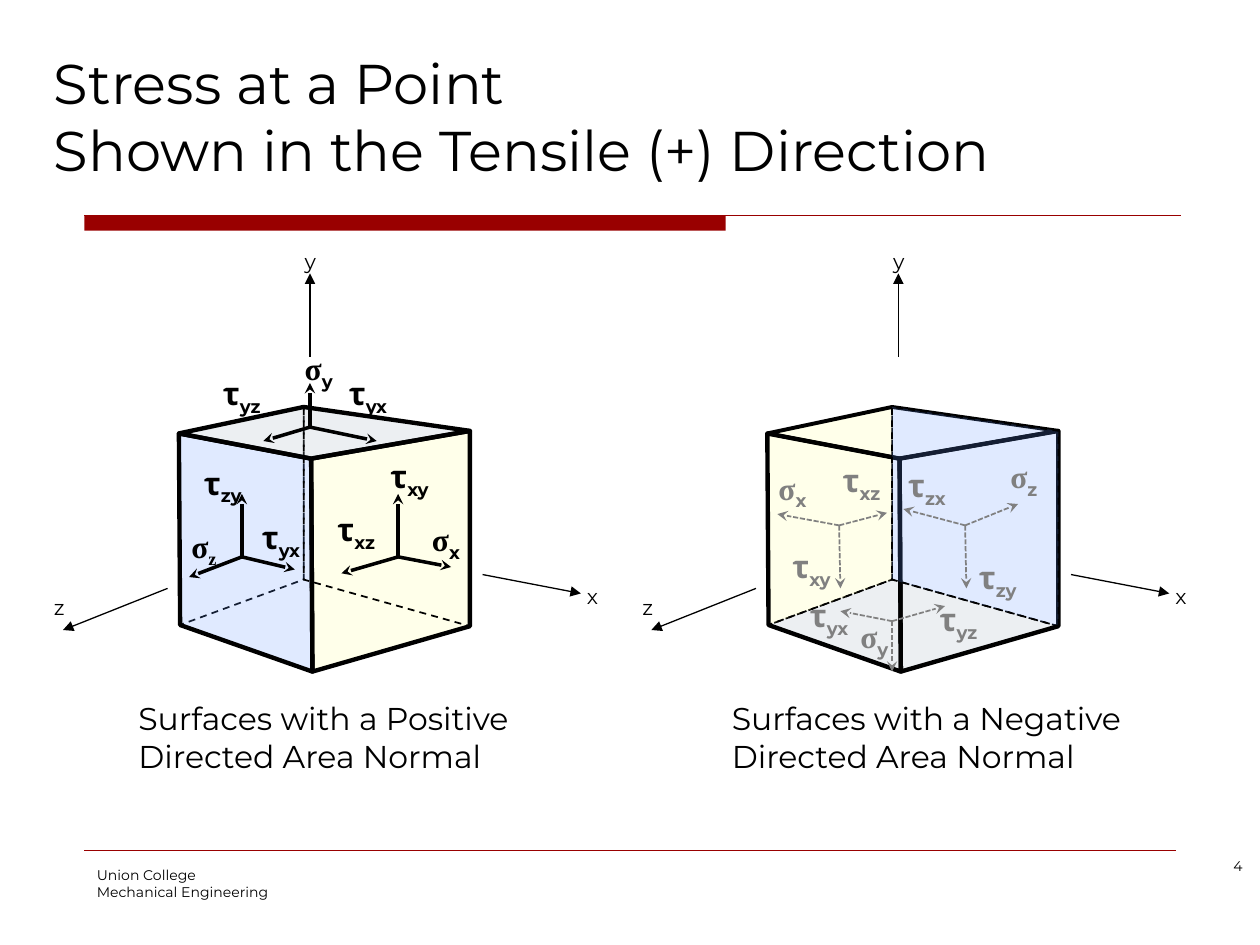
from lxml import etree
from pptx import Presentation
from pptx import util as u
from pptx.dml import color
from pptx.enum import dml, shapes, text
from pptx.oxml import ns

PX = 9144
SANS, SERIF = "Montserrat", "Times New Roman"
BLACK, GRAY, RED = "000000", "808080", "990000"
BLUE, CREAM, SLATE = "6699FF", "FFFF99", "A3B2C1"
DASH, DOTS = dml.MSO_LINE.DASH, dml.MSO_LINE.SQUARE_DOT
SHIFT = 467

CORNERS = {
    "A": (142, 344), "F": (247, 364), "R": (373, 342), "B": (241, 323),
    "a": (143, 496), "f": (248, 533), "r": (373, 497), "b": (241, 460),
}
LEFT_FACES = [
    ("FRrf", CREAM, 2.5, None), ("BAab", None, 1, DASH),
    ("FAaf", BLUE, 2.5, None), ("AFRB", SLATE, 2.5, None),
    ("rRBb", None, 1, DASH),
]
RIGHT_FACES = [
    ("afrb", SLATE, 1, DASH), ("BAab", CREAM, 1, DASH),
    ("FAaf", None, 2.5, None), ("FRrf", None, 2.5, None),
    ("AFRB", None, 2.25, None), ("rRBb", BLUE, 1, DASH),
]
LEFT_STARS = [
    ((246, 339), [(209, 350), (299, 350), (246, 304)]),
    ((192, 442), [(150, 458), (234, 452), (192, 392)]),
    ((316, 442), [(271, 455), (358, 450), (316, 392)]),
]
RIGHT_STARS = [
    ((708, 493), [(750, 481), (667, 485), (708, 533)]),
    ((766, 417), [(808, 400), (717, 404), (767, 467)]),
    ((666, 417), [(704, 407), (617, 408), (667, 467)]),
]
LEFT_SIGNS = [
    ("σ", "x", 333, 408, 45), ("σ", "y", 232, 272, 44),
    ("σ", "z", 142, 413, 42), ("τ", "xz", 258, 400, 52),
    ("τ", "xy", 300, 358, 53), ("τ", "yz", 167, 292, 58),
    ("τ", "yx", 198, 406, 53), ("τ", "zy", 152, 363, 51),
    ("τ", "yx", 267, 292, 53),
]
RIGHT_SIGNS = [
    ("σ", "y", 673, 485, 44), ("τ", "yx", 633, 468, 57),
    ("τ", "xz", 659, 361, 53), ("σ", "x", 608, 367, 45),
    ("σ", "z", 792, 358, 43), ("τ", "xy", 619, 429, 53),
    ("τ", "yz", 736, 471, 64), ("τ", "zx", 711, 365, 53),
    ("τ", "zy", 767, 438, 51),
]
AXES = [
    ("y", (246, 283), (246, 217), (232, 192)),
    ("x", (383, 456), (461, 471), (456, 458)),
    ("z", (133, 467), (50, 500), (33, 467)),
]


def rgb(code):
    """Turn a hex string into a colour."""
    return color.RGBColor.from_string(code)


def stroke(line, hue, width, dash=None):
    """Format a line or outline."""
    line.color.rgb = rgb(hue)
    line.width = u.Pt(width)
    if dash is not None:
        line.dash_style = dash


def link(slide, start, end, hue, width, dash=None, head=None):
    """Draw a straight line, with an optional arrowhead at its end."""
    ends = [n * PX for n in (*start, *end)]
    line = slide.shapes.add_connector(shapes.MSO_CONNECTOR.STRAIGHT, *ends)
    stroke(line.line, hue, width, dash)
    if head:
        etree.SubElement(line.line._get_or_add_ln(), ns.qn("a:tailEnd"), type=head)
    etree.SubElement(line._element.spPr, ns.qn("a:effectLst"))


def bar(slide, x, y, w, h, hue):
    """Draw a plain filled bar."""
    box = slide.shapes.add_shape(
        shapes.MSO_SHAPE.RECTANGLE, x * PX, y * PX, w * PX, h * PX)
    box.shadow.inherit = False
    box.fill.solid()
    box.fill.fore_color.rgb = rgb(hue)
    box.line.fill.background()


def face(slide, names, fill, width, dash, dx):
    """Draw one cube face through its named corners."""
    first, *rest = [(CORNERS[n][0] + dx, CORNERS[n][1]) for n in names]
    pen = slide.shapes.build_freeform(*first, scale=PX)
    pen.add_line_segments(rest, close=True)
    form = pen.convert_to_shape()
    form.shadow.inherit = False
    stroke(form.line, BLACK, width, dash)
    if fill is None:
        form.fill.background()
        return
    form.fill.solid()
    form.fill.fore_color.rgb = rgb(fill)
    tint = form._element.spPr.find(".//" + ns.qn("a:srgbClr"))
    etree.SubElement(tint, ns.qn("a:alpha"), val="20000")


def style(run, size, hue, font, bold):
    """Set the font of one run."""
    run.font.size = u.Pt(size)
    run.font.name = font
    run.font.bold = bold
    run.font.color.rgb = rgb(hue)


def write(slide, words, x, y, w, h, size=18, hue=BLACK, font=SANS, bold=False,
          sub="", face=SANS, wrap=True, grow=False, low=False, right=False):
    """Place text, with an optional subscript."""
    box = slide.shapes.add_textbox(x * PX, y * PX, w * PX, h * PX)
    frame = box.text_frame
    frame.word_wrap = wrap
    if grow:
        frame.auto_size = text.MSO_AUTO_SIZE.SHAPE_TO_FIT_TEXT
    if low:
        frame.vertical_anchor = text.MSO_ANCHOR.BOTTOM
    frame.text = words
    for para in frame.paragraphs:
        if right:
            para.alignment = text.PP_ALIGN.RIGHT
        for run in para.runs:
            style(run, size, hue, font, bold)
    if sub:
        run = frame.paragraphs[0].add_run()
        run.text = sub
        style(run, size, hue, face, bold)
        run._r.get_or_add_rPr().set("baseline", "-25000")


def sign(slide, mark, sub, x, y, w, hue):
    """Label one stress component."""
    sigma = mark == "σ"
    serif = sigma and hue == BLACK and sub == "z"
    write(slide, mark, x, y, w, 40 if sigma else 71, hue=hue, bold=True,
          font=SERIF if sigma else SANS, sub=sub,
          face=SERIF if serif else SANS, wrap=w > 53, grow=True)


def cube(slide, faces, stars, signs, dx, hue, width, dash):
    """Draw a stress cube with its arrows, labels and axes."""
    for names, fill, edge, kind in faces:
        face(slide, names, fill, edge, kind, dx)
    for start, tips in stars:
        for tip in tips:
            link(slide, start, tip, hue, width, dash, "stealth")
    for name, start, end, (x, y) in AXES:
        ends = [(px + dx, py) for px, py in (start, end)]
        link(slide, *ends, BLACK, 0.75, head="triangle")
        write(slide, name, x + dx, y, 33, 30, size=12, grow=True)
    for mark, sub, x, y, w in signs:
        sign(slide, mark, sub, x, y, w, hue)


def main():
    """Build the slide and save it."""
    deck = Presentation()
    deck.slide_width, deck.slide_height = 1000 * PX, 750 * PX
    slide = deck.slides.add_slide(deck.slide_layouts[6])
    bar(slide, 67, 171, 509, 12, RED)
    link(slide, (67, 171), (937, 171), RED, 0.75)
    link(slide, (67, 675), (933, 675), RED, 0.25)
    write(slide, "Union College\nMechanical Engineering", 67, 683, 208, 50, size=8)
    write(slide, "4", 763, 676, 233, 40, size=8, right=True)
    write(slide, "Stress at a Point\vShown in the Tensile (+) Direction",
          33, 17, 942, 133, size=32, low=True)
    cube(slide, LEFT_FACES, LEFT_STARS, LEFT_SIGNS, 0, BLACK, 2, None)
    cube(slide, RIGHT_FACES, RIGHT_STARS, RIGHT_SIGNS, SHIFT, GRAY, 1, DOTS)
    for kind, x, w in (("Positive", 100, 354), ("Negative", 571, 367)):
        write(slide, f"Surfaces with a {kind}\nDirected Area Normal",
              x, 550, w, 71, wrap=False, grow=True)
    deck.save("out.pptx")


if __name__ == "__main__":
    main()
